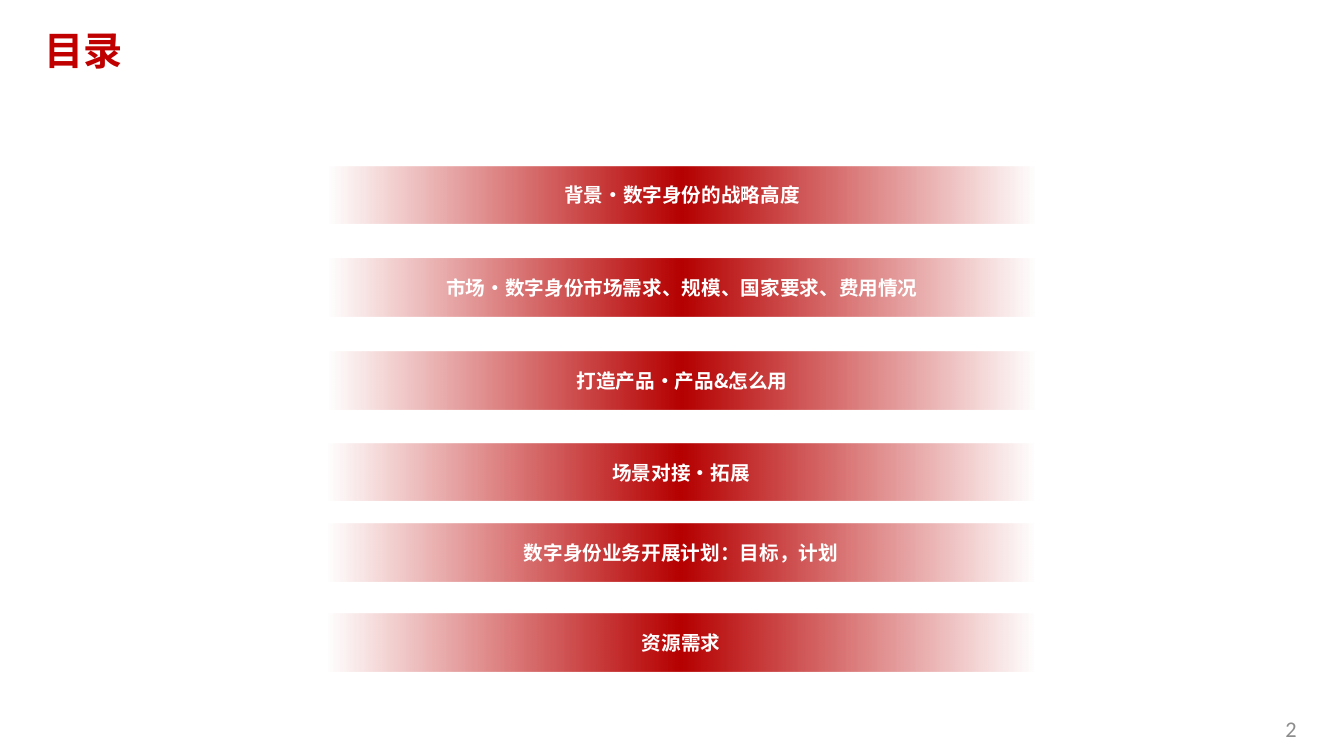
"""Build the contents slide with six gradient bars."""
from pptx import Presentation
from pptx.dml.color import RGBColor
from pptx.enum.shapes import MSO_SHAPE
from pptx.enum.text import MSO_ANCHOR, MSO_AUTO_SIZE, PP_ALIGN
from pptx.oxml.ns import qn
from pptx.util import Inches, Pt
from lxml import etree

RECT = MSO_SHAPE.RECTANGLE
MIDDLE = MSO_ANCHOR.MIDDLE
FIXED = MSO_AUTO_SIZE.NONE
LEFT, CENTER = PP_ALIGN.LEFT, PP_ALIGN.CENTER

RED = RGBColor(0xC0, 0x00, 0x00)
DEEP = RGBColor(0xB6, 0x00, 0x00)
WHITE = RGBColor(0xFF, 0xFF, 0xFF)
GRAY = RGBColor(0x8C, 0x8C, 0x8C)
HAN = "Noto Sans CJK SC"
LATIN = "Calibri"

STOPS = [(0, RED, 0), (50, DEEP, 100), (100, RED, 0)]
TOPICS = [
    (3.26, 1.65, "背景·数字身份的战略高度"),
    (3.26, 2.57, "市场·数字身份市场需求、规模、国家要求、费用情况"),
    (3.26, 3.49, "打造产品·产品&怎么用"),
    (3.25, 4.4, "场景对接·拓展"),
    (3.25, 5.2, "数字身份业务开展计划：目标，计划"),
    (3.25, 6.09, "资源需求"),
]


def add_run(frame, text, size, color, font, bold, align):
    para = frame.paragraphs[0]
    para.alignment = align
    run = para.add_run()
    run.text = text
    run.font.size = Pt(size)
    run.font.bold = bold
    run.font.name = font
    run.font.color.rgb = color
    props = run.font._element
    props.set("lang", "zh-CN")
    props.find(qn("a:latin")).addnext(
        props.makeelement(qn("a:ea"), {"typeface": font}))


def fade(shape):
    shape.fill.gradient()
    shape.fill.gradient_angle = 0
    stops = shape._element.spPr.find(".//" + qn("a:gsLst"))
    for old in list(stops):
        stops.remove(old)
    for place, color, alpha in STOPS:
        stop = etree.SubElement(stops, qn("a:gs"), pos=str(place * 1000))
        tint = etree.SubElement(stop, qn("a:srgbClr"), val=str(color))
        if alpha < 100:
            etree.SubElement(tint, qn("a:alpha"), val=str(alpha * 1000))


def add_bar(slide, left, top, text):
    bar = slide.shapes.add_shape(
        RECT, Inches(left), Inches(top), Inches(7.01), Inches(0.57))
    bar.shadow.inherit = False
    bar.line.fill.background()
    fade(bar)
    bar.text_frame.vertical_anchor = MIDDLE
    add_run(bar.text_frame, text, 14, WHITE, HAN, True, CENTER)


def set_title(slide, text):
    title = slide.shapes.title
    title.left, title.top = Inches(0.37), Inches(0.13)
    title.width, title.height = Inches(12.78), Inches(0.72)
    frame = title.text_frame
    frame.auto_size = FIXED
    frame.vertical_anchor = MIDDLE
    frame.margin_left = frame.margin_right = Inches(0.07)
    frame.margin_top = frame.margin_bottom = Inches(0.04)
    add_run(frame, text, 28, RED, HAN, True, LEFT)


def add_page(slide, text):
    box = slide.shapes.add_textbox(
        Inches(12.65), Inches(7.05), Inches(0.46), Inches(0.37))
    add_run(box.text_frame, text, 16, GRAY, LATIN, False, LEFT)


def main():
    deck = Presentation()
    deck.slide_width, deck.slide_height = Inches(13.33), Inches(7.5)
    slide = deck.slides.add_slide(deck.slide_layouts[5])
    set_title(slide, "目录")
    for left, top, text in TOPICS:
        add_bar(slide, left, top, text)
    add_page(slide, "2")
    deck.save("out.pptx")


if __name__ == "__main__":
    main()
